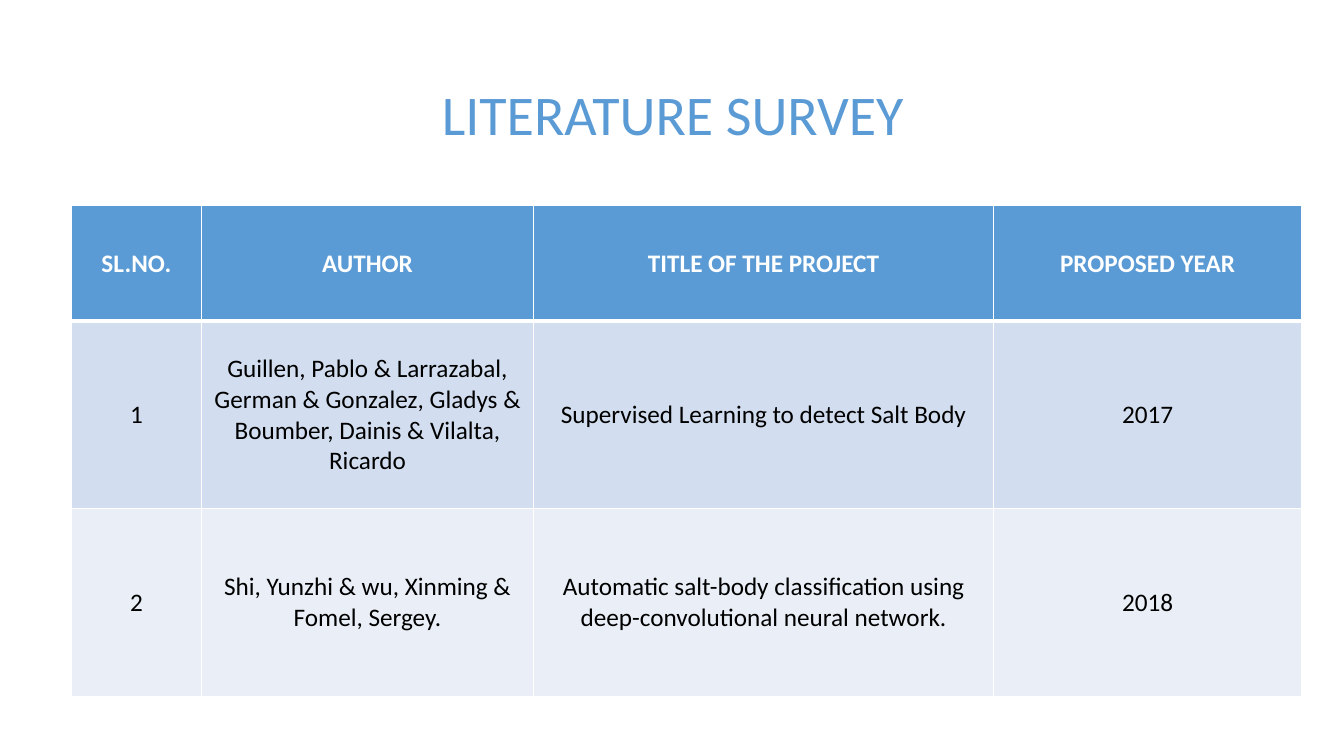
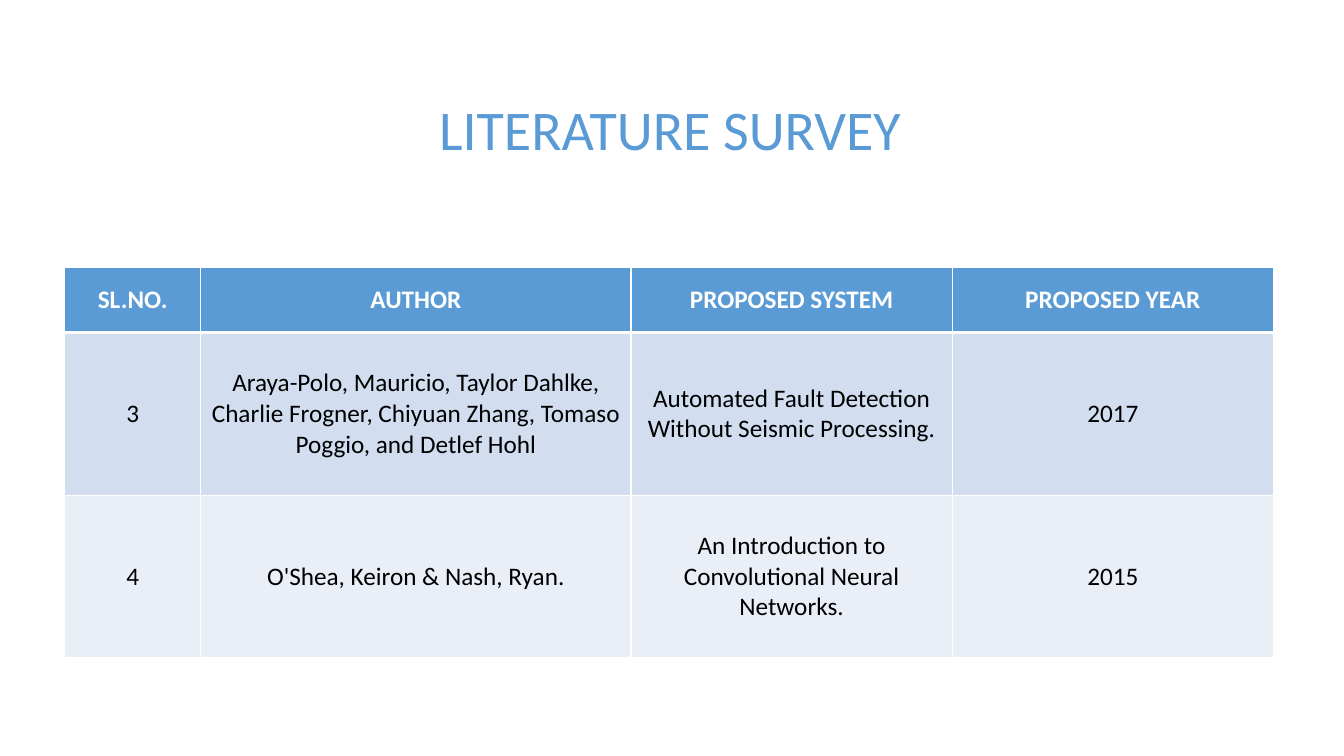
from lxml.etree import SubElement
from pptx import Presentation
from pptx.dml.color import RGBColor
from pptx.enum.text import MSO_ANCHOR, MSO_AUTO_SIZE, PP_ALIGN
from pptx.oxml.ns import qn
from pptx.util import Inches, Pt

BLUE = RGBColor(0x5B, 0x9B, 0xD5)
PALE = RGBColor(0xD2, 0xDE, 0xEF)
MIST = RGBColor(0xEA, 0xEF, 0xF7)
WHITE = RGBColor(0xFF, 0xFF, 0xFF)
BLACK = RGBColor(0x00, 0x00, 0x00)
FILLS = [BLUE, PALE, MIST]
FONT = "Calibri"

deck = Presentation()
deck.slide_width, deck.slide_height = Inches(13.33), Inches(7.5)
# One column or row is a hundredth of the slide
COL, ROW = deck.slide_width / 100, deck.slide_height / 100

# Places, widths and heights in grid columns and rows
PAGES = [
    {
        "title": (14.7, 6.1),
        "table": (5.3, 27.2),
        "cols": [9.7, 24.7, 34.25, 22.9],
        "rows": [15.3, 24.8, 24.8],
        "cells": [
            ["SL.NO.", "AUTHOR", "TITLE OF THE PROJECT", "PROPOSED YEAR"],
            ["1", "Guillen, Pablo & Larrazabal, German & Gonzalez, Gladys & "
             "Boumber, Dainis & Vilalta, Ricardo",
             "Supervised Learning to detect Salt Body", "2017"],
            ["2", "Shi, Yunzhi & wu, Xinming & Fomel, Sergey.",
             "Automatic salt-body classification using "
             "deep-convolutional neural network.", "2018"],
        ],
    },
    {
        "title": (14.5, 8.1),
        "table": (4.8, 35.4),
        "cols": [10.15, 32, 23.9, 23.9],
        "rows": [8.6, 21.5, 21.5],
        "cells": [
            ["SL.NO.", "AUTHOR", "PROPOSED SYSTEM", "PROPOSED YEAR"],
            ["3", "Araya-Polo, Mauricio, Taylor Dahlke, Charlie Frogner, "
             "Chiyuan Zhang, Tomaso Poggio, and Detlef Hohl",
             "Automated Fault Detection Without Seismic Processing.", "2017"],
            ["4", "O'Shea, Keiron & Nash, Ryan.",
             "An Introduction to Convolutional Neural Networks.", "2015"],
        ],
    },
]


def style(text, size, color, bold=False):
    """Centre the first paragraph and set its font."""
    line = text.paragraphs[0]
    line.alignment = PP_ALIGN.CENTER
    line.font.name, line.font.size = FONT, Pt(size)
    line.font.color.rgb, line.font.bold = color, bold
    return line


def edge(cell, side, width):
    """Draw one white border of a cell."""
    props = cell._tc.get_or_add_tcPr()
    line = SubElement(props, qn(f"a:ln{side}"), w=str(Pt(width)))
    fill = SubElement(line, qn("a:solidFill"))
    SubElement(fill, qn("a:srgbClr"), val=str(WHITE))


for page in PAGES:
    slide = deck.slides.add_slide(deck.slide_layouts[5])

    # Title
    title = slide.shapes.title
    left, top = page["title"]
    title.left, title.top = int(left * COL), int(top * ROW)
    title.width, title.height = int(70.7 * COL), int(18.8 * ROW)
    title.text_frame.text = "LITERATURE SURVEY"
    title.text_frame.auto_size = MSO_AUTO_SIZE.NONE
    title.text_frame.vertical_anchor = MSO_ANCHOR.MIDDLE
    style(title.text_frame, 40, BLUE).line_spacing = 0.9

    # Table grid
    cols, rows = page["cols"], page["rows"]
    left, top = page["table"]
    table = slide.shapes.add_table(
        len(rows), len(cols), int(left * COL), int(top * ROW),
        int(sum(cols) * COL), int(sum(rows) * ROW)).table
    for column, width in zip(table.columns, cols):
        column.width = int(width * COL)
    for row, height in zip(table.rows, rows):
        row.height = int(height * ROW)

    # Cells, with a thick rule below the header
    for r, words in enumerate(page["cells"]):
        head = r == 0
        for c, word in enumerate(words):
            cell = table.cell(r, c)
            cell.text = word
            cell.vertical_anchor = MSO_ANCHOR.MIDDLE
            style(cell.text_frame, 18, WHITE if head else BLACK, head)
            for side in "LRTB":
                thick = (r, side) in [(0, "B"), (1, "T")]
                edge(cell, side, 3 if thick else 1)
            cell.fill.solid()
            cell.fill.fore_color.rgb = FILLS[r]

deck.save("out.pptx")
